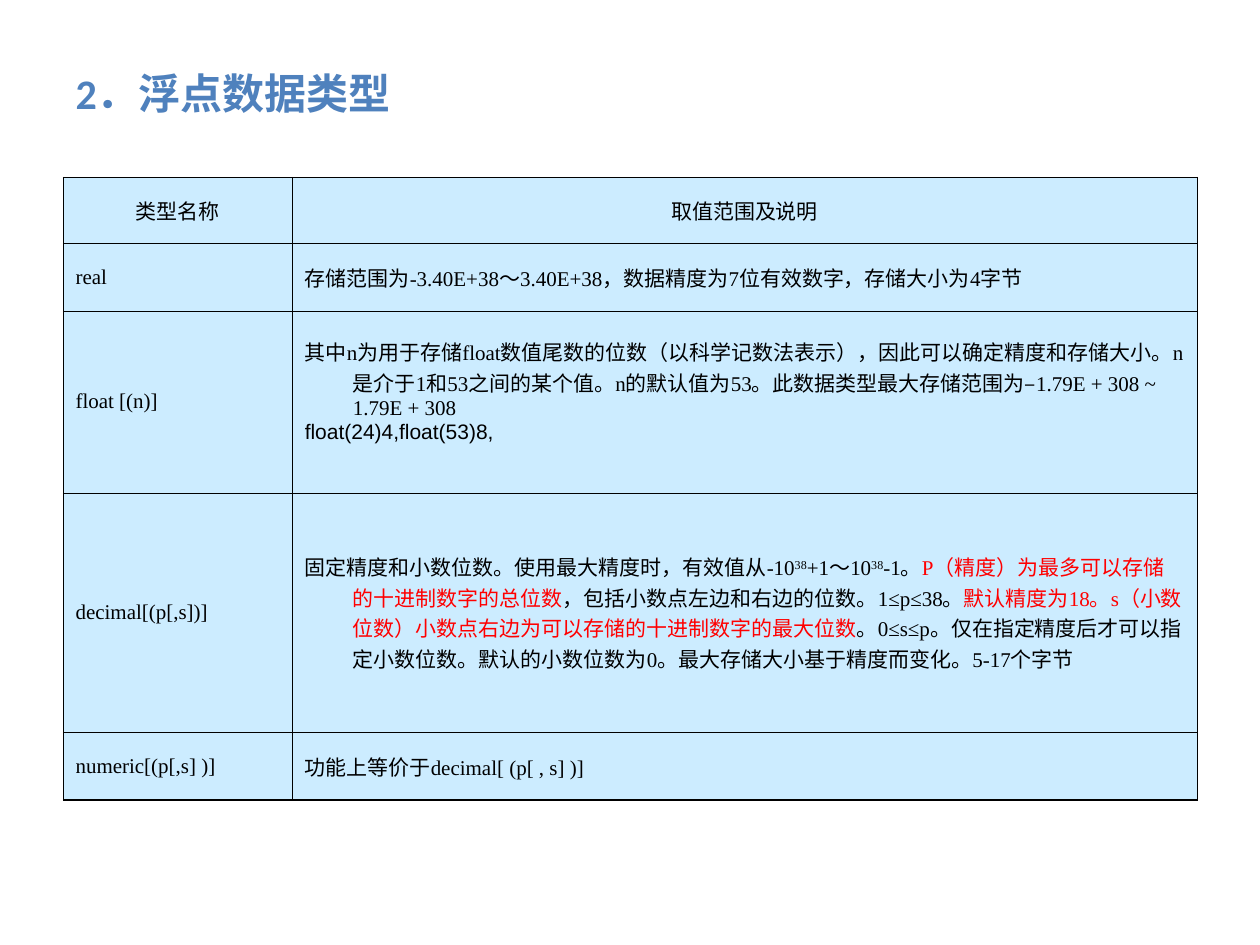
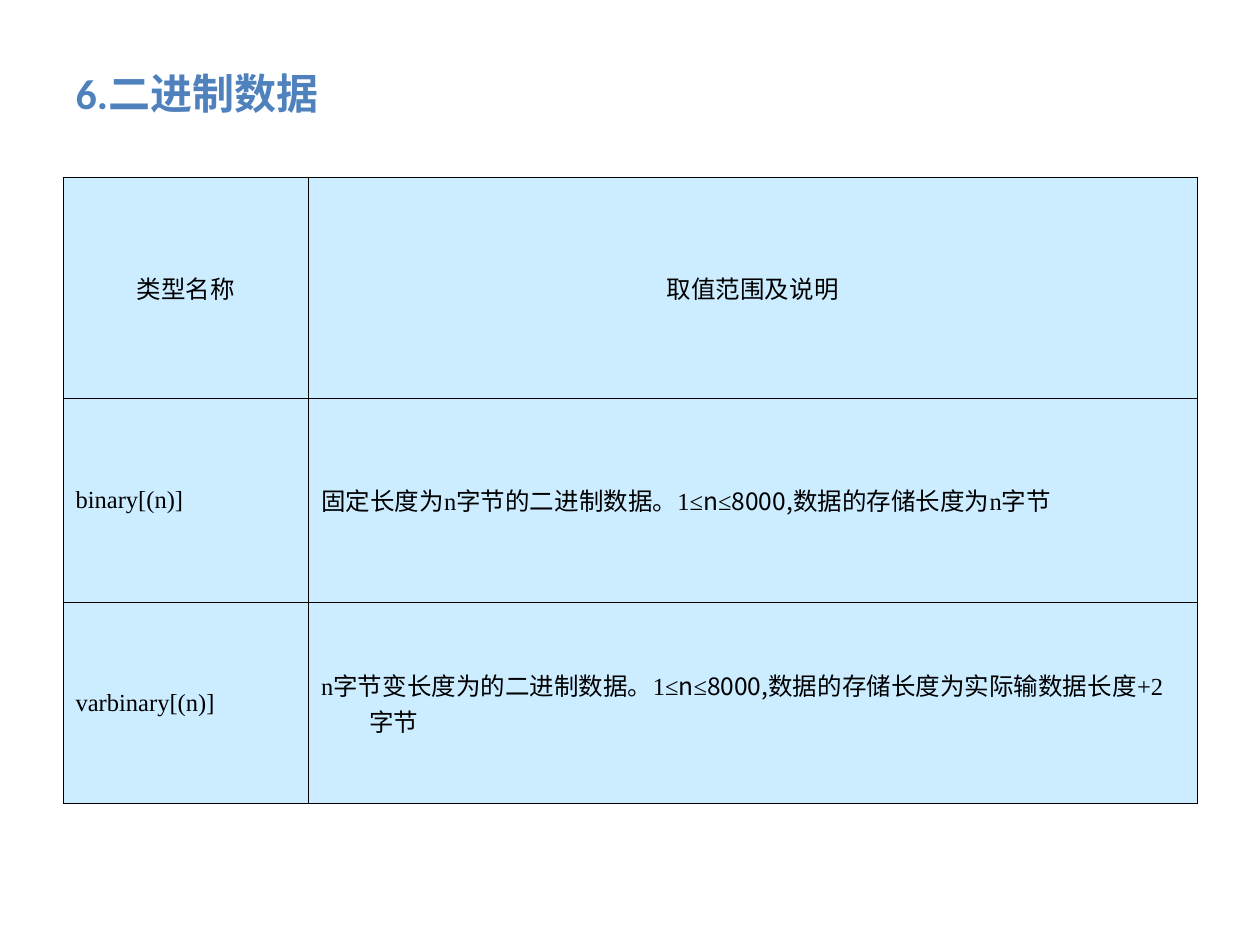
from dataclasses import dataclass
from typing import Any

import pptx
import pptx.dml.color
import pptx.enum.text
import pptx.oxml.ns
import pptx.util
from lxml import etree

Cm, Pt = pptx.util.Cm, pptx.util.Pt
RGBColor = pptx.dml.color.RGBColor
PP_ALIGN, MSO_ANCHOR = pptx.enum.text.PP_ALIGN, pptx.enum.text.MSO_ANCHOR
qn = pptx.oxml.ns.qn

# Shared look
TITLE_BLUE = RGBColor(0x4F, 0x81, 0xBD)
CELL_BLUE = RGBColor(0xCC, 0xEC, 0xFF)
BLACK = RGBColor(0, 0, 0)
RED = RGBColor(0xFF, 0, 0)
SERIF, SANS, CJK = "Times New Roman", "Arial", "Noto Sans CJK SC"
TITLE_FONT = {"name": "Calibri", "size": Pt(24), "bold": True}
TITLE_BOX = {"left": Cm(1.27), "top": Cm(0.76), "width": Cm(22.86), "height": Cm(2.21)}
TABLE_LEFT, TABLE_TOP, TABLE_WIDTH = Cm(1.27), Cm(3.58), Cm(22.86)
HANGING = Cm(0.97)
INNER_LINE, SIDE_LINE, EDGE_LINE = Pt(0.06), Pt(0.34), Pt(0.96)


@dataclass
class Span:
    text: str
    font: str = SERIF
    color: RGBColor = BLACK
    superscript: bool = False


@dataclass
class Entry:
    """One table row: a type name and the paragraphs that explain it."""
    name: str
    paragraphs: list[list[Span]]
    height: float
    bottom_margin: float = 0.13


@dataclass
class TypeSlide:
    title: str
    name_width: float
    header_height: float
    size: int
    entries: list[Entry]


def length_spans(before: str, after: str) -> list[Span]:
    """Description holding the range 1≤n≤8000."""
    return [Span(before + "1≤"), Span("n", CJK), Span("≤"), Span("8000,", CJK), Span(after)]


SLIDES = [
    TypeSlide("2．浮点数据类型", 4.62, 1.32, 12, [
        Entry("real", [[Span(
            "存储范围为-3.40E+38～3.40E+38，数据精度为7位有效数字，存储大小为4字节")]], 1.37),
        Entry("float [(n)]", [
            [Span("其中n为用于存储float数值尾数的位数（以科学记数法表示），因此可以确定精度和存储大小。"
                  "n是介于1和53之间的某个值。n的默认值为53。"
                  "此数据类型最大存储范围为–1.79E + 308 ~ 1.79E + 308")],
            [Span("float(24)4,float(53)8,", SANS)],
        ], 3.66, bottom_margin=0.6),
        Entry("decimal[(p[,s])]", [[
            Span("固定精度和小数位数。使用最大精度时，有效值从-10"),
            Span("38", superscript=True),
            Span("+1～10"),
            Span("38", superscript=True),
            Span("-1。"),
            Span("P（精度）为最多可以存储的十进制数字的总位数", color=RED),
            Span("，包括小数点左边和右边的位数。1≤p≤38。"),
            Span("默认精度为18。s（小数位数）小数点右边为可以存储的十进制数字的最大位数", color=RED),
            Span("。0≤s≤p。仅在指定精度后才可以指定小数位数。默认的小数位数为0。"
                 "最大存储大小基于精度而变化。5-17个字节"),
        ]], 4.83),
        Entry("numeric[(p[,s] )]", [[Span("功能上等价于decimal[ (p[ , s] )]")]], 1.37),
    ]),
    TypeSlide("6.二进制数据", 4.95, 4.45, 14, [
        Entry("binary[(n)]",
              [length_spans("固定长度为n字节的二进制数据。", "数据的存储长度为n字节")], 4.11),
        Entry("varbinary[(n)]",
              [length_spans("n字节变长度为的二进制数据。", "数据的存储长度为实际输数据长度+2字节")], 4.06),
    ]),
]


def apply(target: Any, values: dict[str, Any]) -> None:
    for name, value in values.items():
        setattr(target, name, value)


def format_run(r: Any, font: dict[str, Any], color: RGBColor) -> None:
    apply(r.font, font)
    r.font.color.rgb = color
    etree.SubElement(r.font._element, qn("a:ea"), typeface=CJK)


def add_title(s: Any, text: str) -> None:
    title = s.shapes.title
    apply(title, TITLE_BOX)
    tf = title.text_frame
    tf.vertical_anchor = MSO_ANCHOR.MIDDLE
    p = tf.paragraphs[0]
    p.alignment = PP_ALIGN.LEFT
    r = p.add_run()
    r.text = text
    format_run(r, TITLE_FONT, TITLE_BLUE)


def set_borders(cell: Any, widths: dict[str, int]) -> None:
    tc_pr = cell._tc.get_or_add_tcPr()
    for side, width in widths.items():
        line = etree.SubElement(tc_pr, qn(f"a:ln{side}"), w=str(int(width)))
        fill = etree.SubElement(line, qn("a:solidFill"))
        etree.SubElement(fill, qn("a:srgbClr"), val=str(BLACK))


def fill_cell(cell: Any, paragraphs: list[list[Span]], size: int, align: Any) -> None:
    cell.vertical_anchor = MSO_ANCHOR.MIDDLE
    cell.fill.solid()
    cell.fill.fore_color.rgb = CELL_BLUE
    tf = cell.text_frame
    for i, spans in enumerate(paragraphs):
        p = tf.add_paragraph() if i else tf.paragraphs[0]
        p.alignment = align
        p_pr = p._p.get_or_add_pPr()
        p_pr.set("marL", str(int(HANGING)))
        p_pr.set("indent", str(-int(HANGING)))
        for span in spans:
            r = p.add_run()
            r.text = span.text
            format_run(r, {"name": span.font, "size": Pt(size)}, span.color)
            if span.superscript:
                r.font._element.set("baseline", "30000")


def add_type_table(s: Any, data: TypeSlide) -> None:
    header = Entry("类型名称", [[Span("取值范围及说明", CJK)]], data.header_height)
    rows = [header, *data.entries]
    last = len(rows) - 1
    height = Cm(sum(row.height for row in rows))
    table = s.shapes.add_table(len(rows), 2, TABLE_LEFT, TABLE_TOP, TABLE_WIDTH, height).table
    apply(table, {"first_row": False, "horz_banding": False})
    table.columns[0].width = Cm(data.name_width)
    table.columns[1].width = TABLE_WIDTH - Cm(data.name_width)

    for i, row in enumerate(rows):
        table.rows[i].height = Cm(row.height)
        align = PP_ALIGN.LEFT if i else PP_ALIGN.CENTER
        name = [[Span(row.name, SERIF if i else CJK)]]
        for j, paragraphs in enumerate((name, row.paragraphs)):
            cell = table.cell(i, j)
            set_borders(cell, {
                "L": INNER_LINE if j else SIDE_LINE,
                "R": SIDE_LINE if j else INNER_LINE,
                "T": INNER_LINE if i else EDGE_LINE,
                "B": EDGE_LINE if i == last else INNER_LINE,
            })
            fill_cell(cell, paragraphs, data.size, align)
        table.cell(i, 1).margin_bottom = Cm(row.bottom_margin)


def main() -> None:
    prs = pptx.Presentation()
    apply(prs, {"slide_width": Cm(25.4), "slide_height": Cm(19.05)})
    title_only = prs.slide_layouts[5]
    for data in SLIDES:
        s = prs.slides.add_slide(title_only)
        add_title(s, data.title)
        add_type_table(s, data)
    prs.save("out.pptx")


if __name__ == "__main__":
    main()
